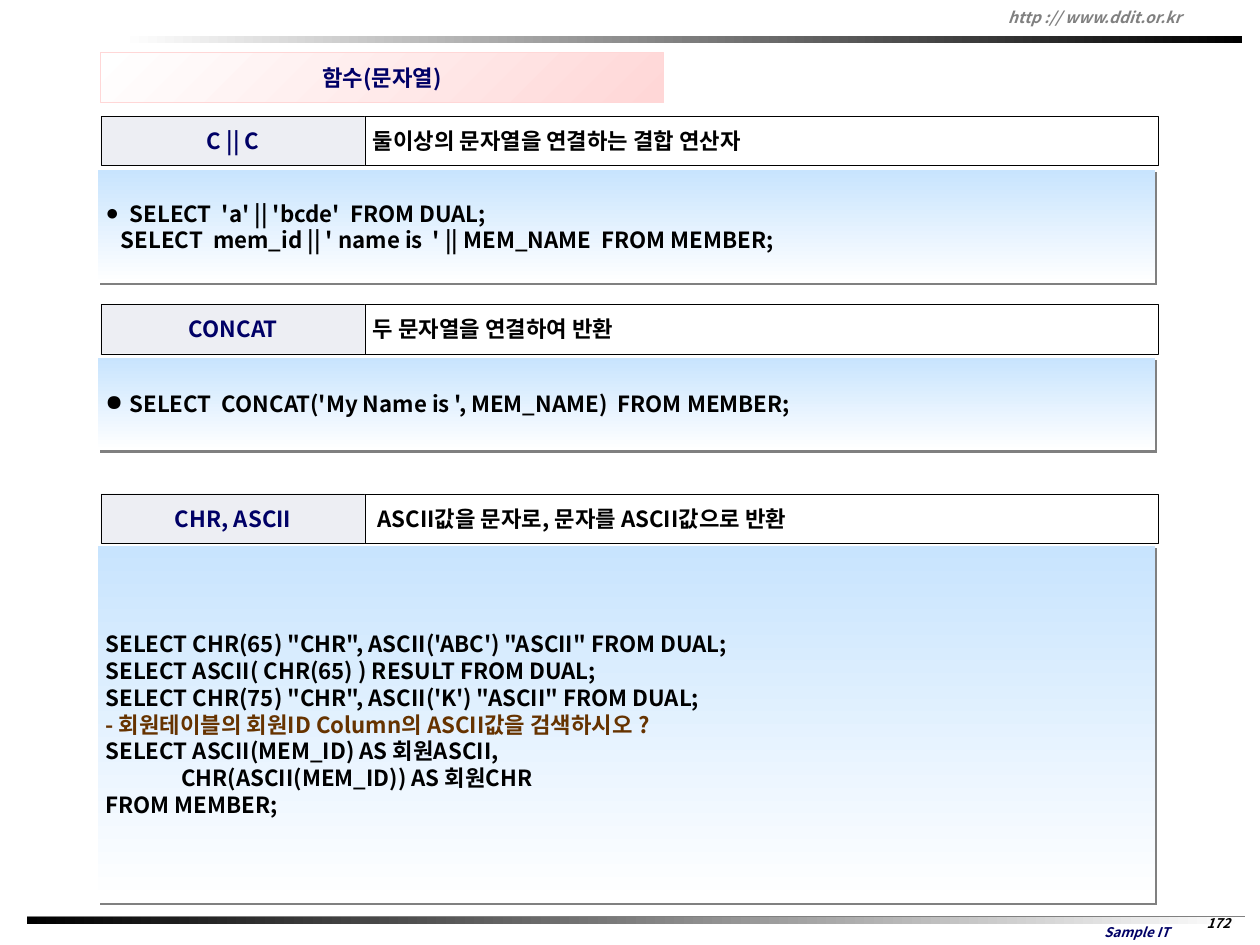
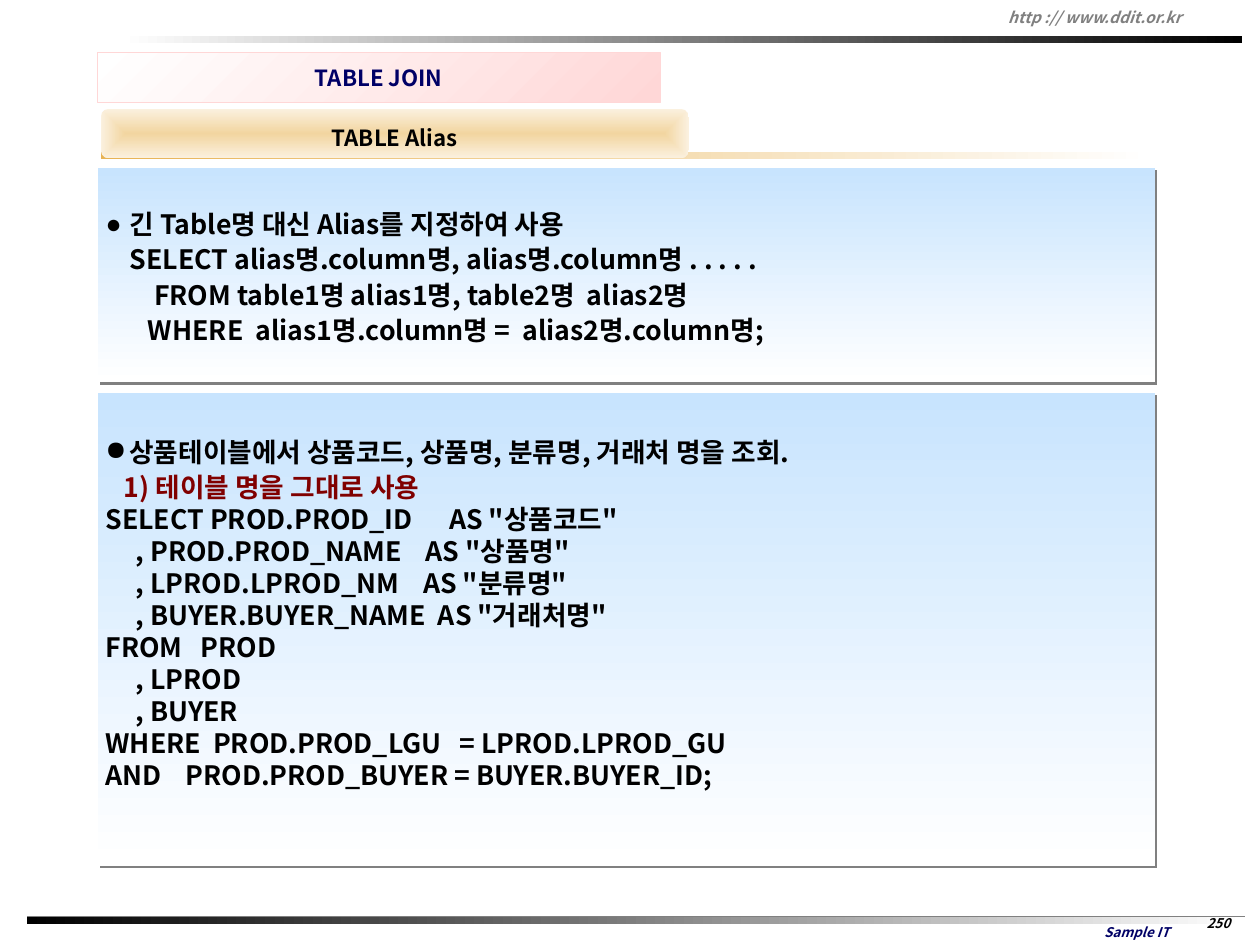
from lxml import etree
from pptx import Presentation
from pptx.dml.color import RGBColor
from pptx.enum.shapes import MSO_CONNECTOR, MSO_SHAPE
from pptx.enum.text import MSO_ANCHOR, MSO_AUTO_SIZE, PP_ALIGN
from pptx.oxml.ns import qn
from pptx.util import Inches, Pt

RECT, ROUND = MSO_SHAPE.RECTANGLE, MSO_SHAPE.ROUNDED_RECTANGLE
LEFT, MID = PP_ALIGN.LEFT, PP_ALIGN.CENTER
CENTER, TOP = MSO_ANCHOR.MIDDLE, MSO_ANCHOR.TOP
FIXED, LINE = MSO_AUTO_SIZE.NONE, MSO_CONNECTOR.STRAIGHT
FONT = "Noto Sans CJK KR"
NAVY, BLACK, WHITE, GRAY = "000066", "000000", "FFFFFF", "808080"
PINK, SKY, PALE, BROWN, RED = "FFD7D7", "C8E4FE", "EDEEF3", "663300", "800000"
GOLD, SAND, CREAM = "E8B354", "F2D5A0", "FBF1DF"
COLS, ROWS, CELL = 157.5, 118.1, 0.1
EDGE, WIDE, BAR = 12.2, 132.2, 6.2


def color(code):
    return RGBColor.from_string(code)


def cells(count):
    return Inches(count * CELL)


def node(parent, tag, **attrs):
    return etree.SubElement(parent, qn("a:" + tag), attrs)


class Deck:
    """Draws the shared style and the elements of each slide on a grid."""

    def __init__(self):
        self.prs = Presentation()
        self.prs.slide_width, self.prs.slide_height = cells(COLS), cells(ROWS)

    def page(self, title, number, left):
        self.slide = self.prs.slides.add_slide(self.prs.slide_layouts[1])
        self.shapes = self.slide.shapes
        self.body = self.slide.placeholders[1]
        self.frame(number)
        head = self.place(self.shapes.title, (left, 6.6, 70.3, BAR))
        self.blend(head, WHITE, PINK, 45)
        self.edge(head, PINK, 0.75)
        self.label(head, [title], tint=NAVY, align=MID, wrap=False)

    def frame(self, number):
        rule = self.shapes.add_connector(
            LINE, cells(3.4), cells(114.6), cells(155.6), cells(114.6))
        self.edge(rule, GRAY, 1.5)
        node(rule._element.spPr, "effectLst")
        self.strip((3.4, 114.6, 152.2, 0.9), BLACK, WHITE)
        self.note("Sample IT", (132.6, 114.8, 19, 3.3), 12, NAVY)
        self.strip((15.2, 4.5, 140, 0.9), WHITE, BLACK)
        self.note("http :// www.ddit.or.kr", (125, 0.2, 32.1, 3.8), 14, GRAY, LEFT)
        self.note(number, (150.9, 113.9, 2.8, 3.1), 12, BLACK, anchor=TOP, wrap=False)

    def place(self, shape, at):
        shape.left, shape.top, shape.width, shape.height = map(cells, at)
        return shape

    def box(self, at, kind=RECT):
        shape = self.shapes.add_shape(kind, *map(cells, at))
        shape.shadow.inherit = False
        shape.line.fill.background()
        return shape

    def edge(self, shape, tint, width):
        shape.line.color.rgb = color(tint)
        shape.line.width = Pt(width)

    def blend(self, shape, first, last, angle):
        shape.fill.gradient()
        shape.fill.gradient_angle = 360 - angle
        for stop, tint, pos in zip(shape.fill.gradient_stops, (first, last), (0, 1)):
            stop.color.rgb, stop.position = color(tint), pos

    def strip(self, at, first, last):
        self.blend(self.box(at), first, last, 0)

    def note(self, text, at, size, tint, align=MID, **look):
        area = self.shapes.add_textbox(*map(cells, at))
        self.label(area, [text], size, tint, align, italic=True, **look)

    def label(self, shape, lines, size=20, tint=BLACK, align=LEFT, anchor=CENTER,
              wrap=True, italic=False, pad=0.5, foot=None):
        frame = shape.text_frame
        frame.auto_size, frame.word_wrap = FIXED, wrap
        frame.vertical_anchor = anchor
        frame.margin_left = frame.margin_right = cells(1)
        frame.margin_top = cells(pad)
        frame.margin_bottom = cells(pad if foot is None else foot)
        for num, line in enumerate(lines):
            text, look = line if isinstance(line, tuple) else (line, {})
            para = frame.add_paragraph() if num else frame.paragraphs[0]
            para.text, para.alignment = text, align
            para.space_before = Pt(0)
            para.line_spacing = look.get("space", 1.0)
            self.mark(para, look.get("dot", False), look.get("inset", 0))
            font = para.font
            font.name, font.size = FONT, Pt(size)
            font.bold, font.italic = True, italic
            font.color.rgb = color(look.get("tint", tint))
            node(para._p.pPr.find(qn("a:defRPr")), "ea", typeface=FONT)

    def mark(self, para, dot, inset):
        props = para._p.get_or_add_pPr()
        hang = cells(3) if dot else 0
        props.set("marL", str(hang or cells(inset)))
        props.set("indent", str(-hang))
        if dot:
            node(props, "buChar", char="●")
        else:
            node(props, "buNone")

    def term(self, top, name, text, inset=0):
        for left, width, fill, words, tint, align in (
                (12.6, 33.1, PALE, name, NAVY, MID),
                (45.6, 99.2, WHITE, (text, {"inset": inset}), BLACK, LEFT)):
            cell = self.box((left, top, width, BAR))
            cell.fill.solid()
            cell.fill.fore_color.rgb = color(fill)
            self.edge(cell, BLACK, 0.25)
            self.label(cell, [words], tint=tint, align=align)

    def panel(self, top, height, lines, size=20, foot=0.9):
        at = (EDGE, top, WIDE, height)
        area = self.place(self.body, at) if self.body else self.box(at)
        self.body = None
        self.blend(area, SKY, WHITE, 90)
        area.shadow.inherit = False
        glow = area._element.spPr.find(qn("a:effectLst"))
        shade = node(glow, "outerShdw", dist=str(Pt(2.8)), dir="2700000",
                     algn="ctr", rotWithShape="0")
        node(shade, "srgbClr", val=GRAY)
        self.label(area, lines, size, pad=0.9, foot=foot)

    def badge(self, text):
        self.strip((12.6, 19, 131.2, 0.9), GOLD, WHITE)
        tag = self.box((12.6, 13.6, 73.5, BAR), ROUND)
        self.blend(tag, SAND, CREAM, 0)
        grad = tag._element.spPr.find(qn("a:gradFill"))
        grad.remove(grad.find(qn("a:lin")))
        route = node(grad, "path", path="shape")
        node(route, "fillToRect", l="50000", t="50000", r="50000", b="50000")
        self.label(tag, [(text, {"space": 1.3})], align=MID, wrap=False)


def main():
    deck = Deck()
    dot = {"dot": True}
    deck.page("함수(문자열)", "172", 12.6)
    deck.term(14.5, "C || C", "둘이상의 문자열을 연결하는 결합 연산자")
    deck.panel(21.2, 14.2, [
        ("SELECT  'a' || 'bcde'  FROM DUAL;", dot),
        "   SELECT  mem_id || ' name is  ' || MEM_NAME  FROM MEMBER;"])
    deck.term(38, "CONCAT", "두 문자열을 연결하여 반환")
    deck.panel(44.7, 11.6, [
        ("SELECT  CONCAT('My Name is ', MEM_NAME)  FROM MEMBER;", dot)])
    deck.term(61.7, "CHR, ASCII", "ASCII값을 문자로, 문자를 ASCII값으로 반환", 0.6)
    deck.panel(68.2, 44.6, [
        "SELECT CHR(65) \"CHR\", ASCII('ABC') \"ASCII\" FROM DUAL;",
        "SELECT ASCII( CHR(65) ) RESULT FROM DUAL;",
        "SELECT CHR(75) \"CHR\", ASCII('K') \"ASCII\" FROM DUAL;",
        ("- 회원테이블의 회원ID Column의 ASCII값을 검색하시오 ?", {"tint": BROWN}),
        "SELECT ASCII(MEM_ID) AS 회원ASCII,",
        "               CHR(ASCII(MEM_ID)) AS 회원CHR",
        "FROM MEMBER;"])

    loose = {"space": 1.1}
    point = {**dot, **loose}
    deck.page("TABLE JOIN", "250", EDGE)
    deck.badge("TABLE Alias")
    deck.panel(21, 26.8, [
        ("긴 Table명 대신 Alias를 지정하여 사용", point),
        ("    SELECT alias명.column명, alias명.column명 . . . . .", loose),
        ("        FROM table1명 alias1명, table2명  alias2명", loose),
        ("       WHERE  alias1명.column명 =  alias2명.column명;", loose)], 24)
    deck.panel(49.1, 59.1, [
        ("상품테이블에서 상품코드, 상품명, 분류명, 거래처 명을 조회.", point),
        ("1) 테이블 명을 그대로 사용", {**loose, "tint": RED, "inset": 2.3}),
        "SELECT PROD.PROD_ID      AS \"상품코드\"",
        "     , PROD.PROD_NAME    AS \"상품명\"",
        "     , LPROD.LPROD_NM    AS \"분류명\"",
        "     , BUYER.BUYER_NAME  AS \"거래처명\"",
        "FROM   PROD",
        "     , LPROD",
        "     , BUYER",
        "WHERE  PROD.PROD_LGU   = LPROD.LPROD_GU",
        "AND    PROD.PROD_BUYER = BUYER.BUYER_ID;"], 24, 5.3)
    deck.prs.save("out.pptx")


if __name__ == "__main__":
    main()
